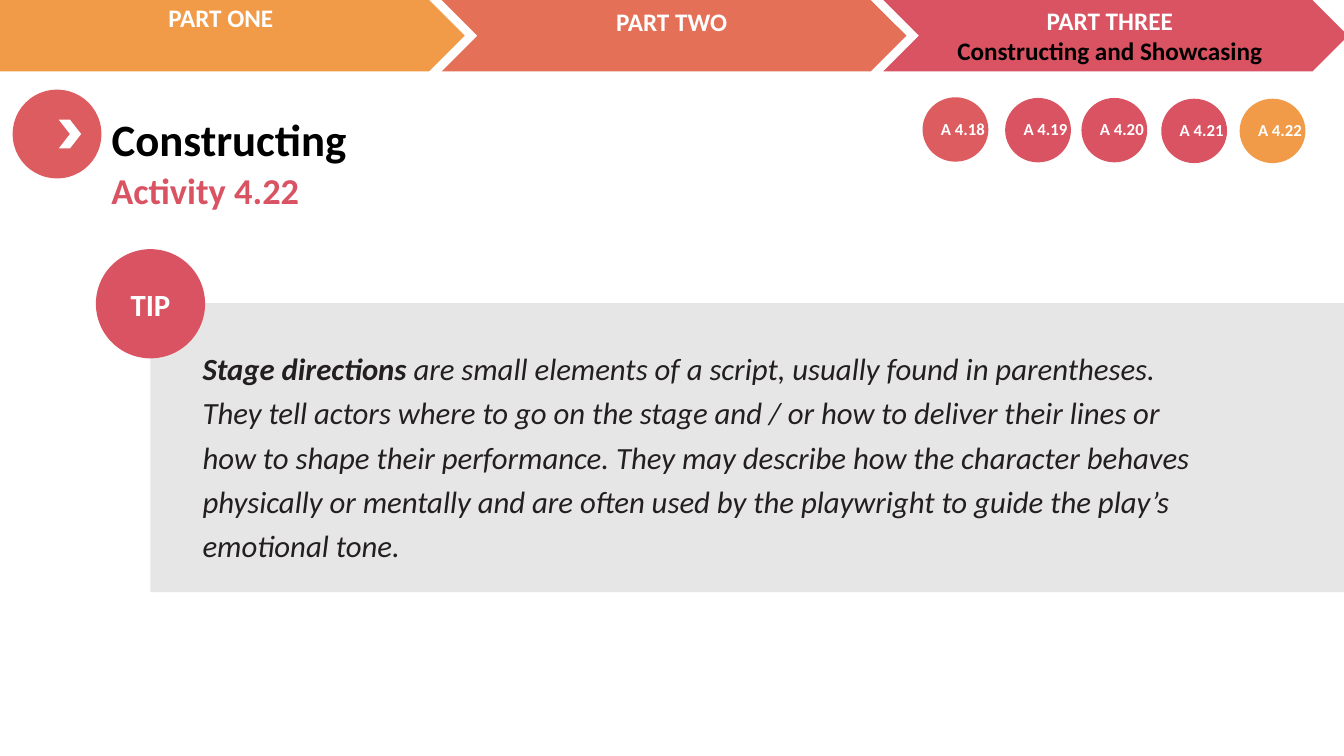
from dataclasses import dataclass

from lxml import etree
from pptx import Presentation
from pptx.dml.color import RGBColor
from pptx.enum.shapes import MSO_SHAPE
from pptx.enum.text import MSO_ANCHOR, MSO_AUTO_SIZE, PP_ALIGN
from pptx.oxml.ns import qn
from pptx.util import Pt

OVAL = MSO_SHAPE.OVAL
CHEVRON = MSO_SHAPE.CHEVRON
RECT = MSO_SHAPE.RECTANGLE
LEFT, CENTER = PP_ALIGN.LEFT, PP_ALIGN.CENTER
TOP, MIDDLE = MSO_ANCHOR.TOP, MSO_ANCHOR.MIDDLE

FONT = "Calibri"
ROSE, CORAL, RED, AMBER = "DA5362", "E47057", "DD5C60", "F19B48"
WHITE, BLACK, GREY, INK = "FFFFFF", "000000", "E7E6E6", "231F20"


@dataclass
class Box:
    left: float
    top: float
    width: float
    height: float


@dataclass
class Part:
    arrow: Box
    fill: str
    label: Box
    lines: list[tuple[str, str]]


@dataclass
class Badge:
    text: str
    left: float
    top: float
    fill: str


PARTS = [
    Part(Box(315.5, 0, 332, 51), CORAL, Box(315.5, 1, 328.5, 51),
         [("PART TWO", WHITE)]),
    Part(Box(631, 0, 332, 51), ROSE, Box(628.5, 0, 328.5, 51),
         [("PART THREE", WHITE), ("Constructing and Showcasing", BLACK)]),
    Part(Box(-44, 0, 376, 51), AMBER, Box(-6.5, -2, 328.5, 29),
         [("PART ONE", WHITE)]),
]
BADGES = [
    Badge("A 4.18", 659, 69.5, RED),
    Badge("A 4.19", 718, 70, ROSE),
    Badge("A 4.20", 772.5, 70, ROSE),
    Badge("A 4.21", 829.5, 70.5, ROSE),
    Badge("A 4.22", 885.5, 70.5, AMBER),
]


def color(code: str) -> RGBColor:
    return RGBColor.from_string(code)


def place(shape, box: Box) -> None:
    shape.left, shape.top = Pt(box.left), Pt(box.top)
    shape.width, shape.height = Pt(box.width), Pt(box.height)


def draw(slide, kind, box: Box, fill: str):
    shape = slide.shapes.add_shape(
        kind, Pt(box.left), Pt(box.top), Pt(box.width), Pt(box.height))
    shape.shadow.inherit = False
    shape.fill.solid()
    shape.fill.fore_color.rgb = color(fill)
    shape.line.fill.background()
    return shape


def style(para, size: float, code: str, align=LEFT, bold=True) -> None:
    para.alignment = align
    font = para.font
    font.name, font.size, font.bold = FONT, Pt(size), bold
    font.color.rgb = color(code)


def write(shape, lines: list[tuple[str, str]], size: float,
          align=LEFT, anchor=TOP) -> None:
    """Fill a shape with one paragraph per (text, colour) pair."""
    frame = shape.text_frame
    frame.word_wrap = True
    frame.auto_size = MSO_AUTO_SIZE.NONE
    frame.vertical_anchor = anchor
    frame.text = "\n".join(text for text, _ in lines)
    for para, (_, code) in zip(frame.paragraphs, lines):
        style(para, size, code, align)


def label(slide, box: Box, lines: list[tuple[str, str]], size: float,
          align=LEFT) -> None:
    shape = slide.shapes.add_textbox(0, 0, 0, 0)
    place(shape, box)
    write(shape, lines, size, align)


def advise(body) -> None:
    """Set the tip paragraph in the body placeholder."""
    place(body, Box(137.5, 241, 739, 165))
    frame = body.text_frame
    frame.auto_size = MSO_AUTO_SIZE.NONE
    para = frame.paragraphs[0]
    props = para._p.get_or_add_pPr()
    props.set("marL", "0")
    props.set("indent", "0")
    etree.SubElement(props, qn("a:buNone"))
    para.space_before = Pt(0)
    para.line_spacing = 1.2
    style(para, 22, INK, bold=False)
    para.font.italic = True
    term = para.add_run()
    term.text = "Stage directions "
    term.font.bold = True
    para.add_run().text = (
        "are small elements of a script, usually found in parentheses. "
        "They tell actors where to go on the stage and / or how to deliver "
        "their lines or how to shape their performance. They may describe "
        "how the character behaves physically or mentally and are often used "
        "by the playwright to guide the play’s emotional tone.")


def main() -> None:
    deck = Presentation()
    deck.slide_width, deck.slide_height = Pt(960), Pt(540)
    slide = deck.slides.add_slide(deck.slide_layouts[1])
    title, body = slide.placeholders

    draw(slide, OVAL, Box(9, 64, 63.5, 63.5), RED)
    for part in PARTS:
        draw(slide, CHEVRON, part.arrow, part.fill)
    for part in PARTS:
        label(slide, part.label, part.lines, 18, CENTER)
    draw(slide, CHEVRON, Box(42, 85.5, 16, 20.5), WHITE)

    place(title, Box(72.5, 76.5, 349, 46))
    write(title, [("Constructing", BLACK)], 32)
    label(slide, Box(72.5, 116.5, 857.5, 39), [("Activity 4.22", ROSE)], 26)

    draw(slide, RECT, Box(107.5, 216.5, 884, 206.5), GREY)
    tip = draw(slide, OVAL, Box(68.5, 178, 78, 78), ROSE)
    write(tip, [("TIP", WHITE)], 22, CENTER, MIDDLE)
    advise(body)
    slide.shapes._spTree.append(body._element)

    for badge in BADGES:
        draw(slide, OVAL, Box(badge.left, badge.top, 47, 46), badge.fill)
        label(slide, Box(badge.left + 6, badge.top + 11.5, 57, 21.5),
              [(badge.text, WHITE)], 12)

    deck.save("out.pptx")


if __name__ == "__main__":
    main()
